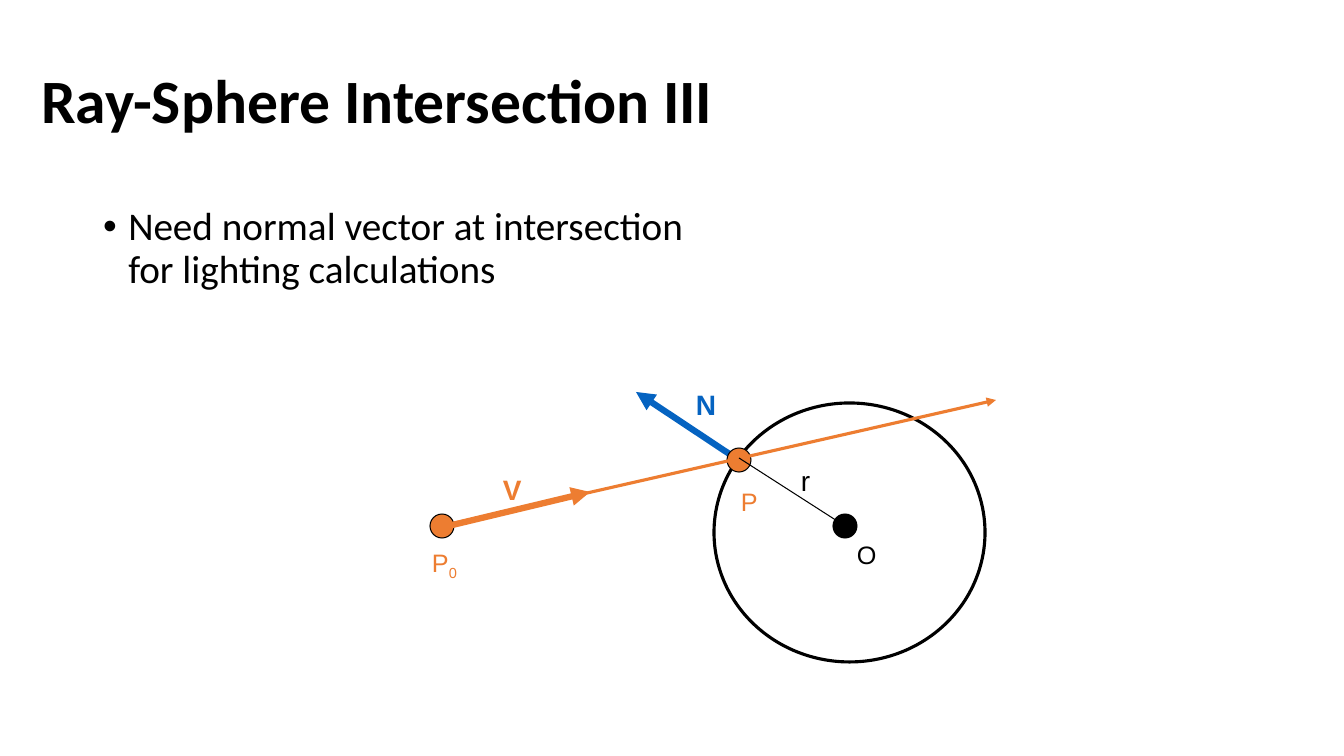
from lxml import etree
from pptx import Presentation
from pptx.dml.color import RGBColor
from pptx.enum.shapes import MSO_CONNECTOR, MSO_SHAPE
from pptx.enum.text import MSO_ANCHOR, MSO_AUTO_SIZE, PP_ALIGN
from pptx.oxml.ns import qn
from pptx.util import Pt

OVAL = MSO_SHAPE.OVAL
STRAIGHT = MSO_CONNECTOR.STRAIGHT
LEFT, TOP, MIDDLE = PP_ALIGN.LEFT, MSO_ANCHOR.TOP, MSO_ANCHOR.MIDDLE
NO_FIT = MSO_AUTO_SIZE.NONE

PX = 914400 / 100.8
COLORS = {"black": "000000", "ray": "ED7D31", "normal": "0563C1"}

TITLE = "Ray-Sphere Intersection III"
POINT = "Need normal vector at intersection\vfor lighting calculations"

START, HIT, CENTER = (442, 526), (739, 460), (845, 526)
DOT = 24


def dot_box(center):
    x, y = center
    return x - DOT // 2, y - DOT // 2, DOT, DOT


DIAGRAM = [
    ("line", (737, 459), (636, 392), "normal", 4.5, True),
    ("oval", (714, 403, 271, 259), None, 2.25),
    ("oval", dot_box(START), "ray", 0.75),
    ("oval", dot_box(HIT), "ray", 0.75),
    ("line", START, (996, 400), "ray", 2.25, True),
    ("oval", dot_box(CENTER), "black", 0.75),
    ("line", (444, 527), (590, 492), "ray", 4.5, True),
    ("line", (739, 458), CENTER, "black", 0.75, False),
]
LABELS = [
    ("P", "0", (422, 542, 46, 40), 18, "ray", False),
    ("V", "", (493, 468, 39, 43), 20, "ray", True),
    ("O", "", (847, 534, 40, 40), 18, "black", False),
    ("P", "", (731, 481, 37, 40), 18, "ray", False),
    ("r", "", (791, 459, 29, 43), 20, "black", False),
    ("N", "", (686, 383, 40, 43), 20, "normal", True),
]


def emu(lengths):
    return [round(length * PX) for length in lengths]


def rgb(name):
    return RGBColor.from_string(COLORS[name])


def style_font(font, color, **formats):
    for attribute, value in formats.items():
        setattr(font, attribute, value)
    font.color.rgb = rgb(color)


def style_line(line, color, width):
    line.color.rgb = rgb(color)
    line.width = Pt(width)


def draw_line(shapes, start, end, color, width, arrow):
    connector = shapes.add_connector(STRAIGHT, *emu(start + end))
    style_line(connector.line, color, width)
    properties = connector._element.spPr
    if arrow:
        outline = properties.find(qn("a:ln"))
        etree.SubElement(outline, qn("a:tailEnd"), type="triangle")
    etree.SubElement(properties, qn("a:effectLst"))


def draw_oval(shapes, box, fill, width):
    oval = shapes.add_shape(OVAL, *emu(box))
    oval.shadow.inherit = False
    if fill:
        oval.fill.solid()
        oval.fill.fore_color.rgb = rgb(fill)
    else:
        oval.fill.background()
    style_line(oval.line, "black", width)


def draw_label(shapes, text, subscript, box, size, color, bold):
    frame = shapes.add_textbox(*emu(box)).text_frame
    frame.word_wrap = False
    paragraph = frame.paragraphs[0]
    for part in filter(None, (text, subscript)):
        run = paragraph.add_run()
        run.text = part
        style_font(run.font, color, name="Arial", size=Pt(size), bold=bold)
    if subscript:
        run._r.get_or_add_rPr().set("baseline", "-25000")


def fill_placeholder(placeholder, text, box, anchor, size, bold):
    placeholder.left, placeholder.top, placeholder.width, placeholder.height = emu(box)
    frame = placeholder.text_frame
    frame.text = text
    frame.word_wrap = True
    frame.auto_size = NO_FIT
    frame.vertical_anchor = anchor
    paragraph = frame.paragraphs[0]
    formats = {"alignment": LEFT, "line_spacing": 0.9, "space_before": Pt(0)}
    for attribute, value in formats.items():
        setattr(paragraph, attribute, value)
    for run in paragraph.runs:
        style_font(run.font, "black", name="Calibri", size=Pt(size), bold=bold)
    return paragraph


def add_bullet(paragraph):
    properties = paragraph._p.get_or_add_pPr()
    properties.set("marL", "228600")
    properties.set("indent", "-228600")
    etree.SubElement(properties, qn("a:buFont"), typeface="Arial")
    etree.SubElement(properties, qn("a:buChar"), char="•")


def main():
    deck = Presentation()
    deck.slide_width, deck.slide_height = emu((1344, 756))
    slide = deck.slides.add_slide(deck.slide_layouts[1])
    title, body = slide.placeholders
    fill_placeholder(title, TITLE, (31, 31, 1159, 146), MIDDLE, 44, True)
    add_bullet(fill_placeholder(body, POINT, (93, 202, 1159, 480), TOP, 28, False))
    draw = {"line": draw_line, "oval": draw_oval}
    for kind, *details in DIAGRAM:
        draw[kind](slide.shapes, *details)
    for label in LABELS:
        draw_label(slide.shapes, *label)
    deck.save("out.pptx")


if __name__ == "__main__":
    main()
